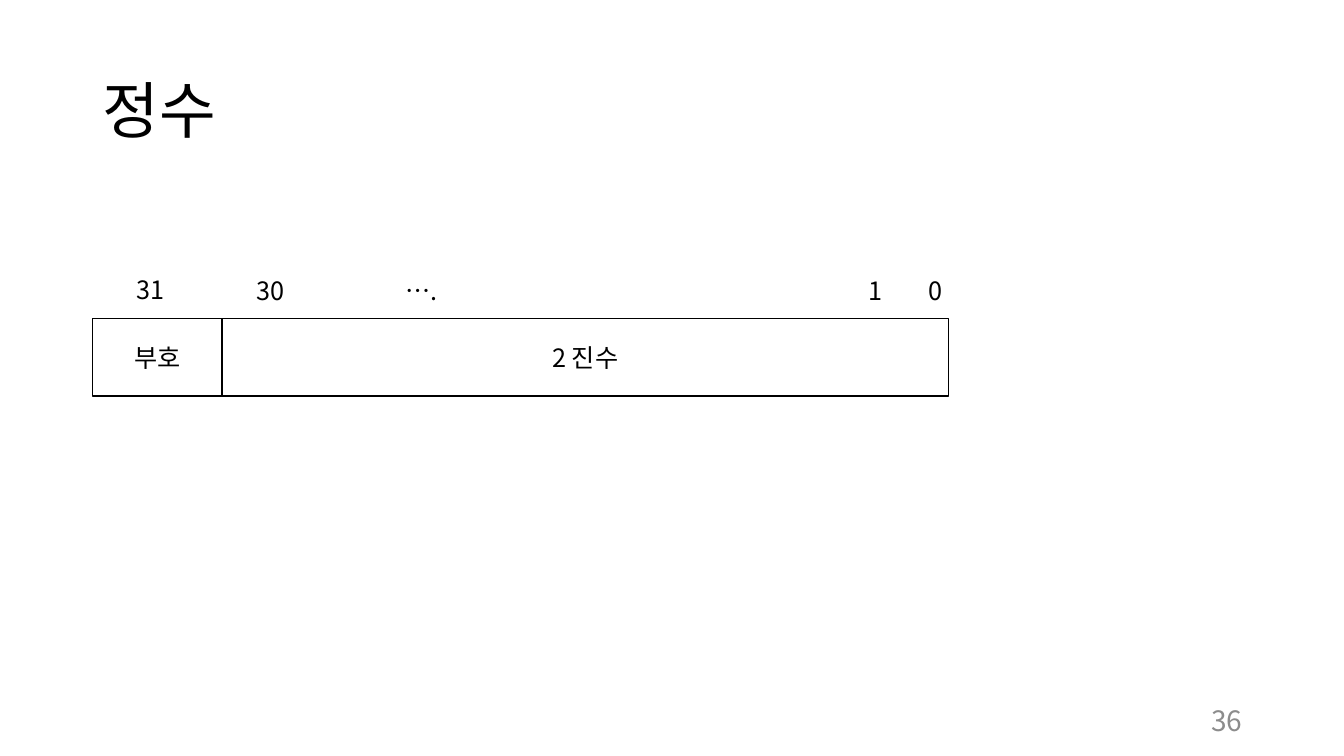
"""Build a slide showing the bit layout of a 32-bit integer."""
from dataclasses import dataclass

import lxml.etree
import pptx
import pptx.dml.color
import pptx.enum.shapes
import pptx.enum.text
import pptx.oxml.ns
import pptx.util

Inches = pptx.util.Inches
Align = pptx.enum.text.PP_ALIGN
Anchor = pptx.enum.text.MSO_ANCHOR
BLACK = pptx.dml.color.RGBColor(0x00, 0x00, 0x00)
WHITE = pptx.dml.color.RGBColor(0xFF, 0xFF, 0xFF)
GRAY = pptx.dml.color.RGBColor(0x8C, 0x8C, 0x8C)
FONT = "Noto Sans CJK KR"
FIELD_TOP, FIELD_HEIGHT = 3.16, 0.77
LABEL_WIDTH, LABEL_HEIGHT = 0.61, 0.4


@dataclass(frozen=True)
class Field:
    text: str
    left: float
    width: float


@dataclass(frozen=True)
class BitLabel:
    text: str
    left: float
    top: float = 2.68


FIELDS = [Field("부호", 0.92, 1.29), Field("2 진수", 2.2, 7.21)]
BIT_LABELS = [
    BitLabel("31", 1.26, 2.67),
    BitLabel("30", 2.45),
    BitLabel("….", 3.92),
    BitLabel("1", 8.52),
    BitLabel("0", 9.11),
]


def write_text(shape, text: str, *, size: float = 18, color=BLACK, align=Align.LEFT,
               anchor=Anchor.TOP, line_spacing: float | None = None) -> None:
    frame = shape.text_frame
    frame.word_wrap = True
    frame.vertical_anchor = anchor
    paragraph = frame.paragraphs[0]
    paragraph.alignment = align
    paragraph.line_spacing = line_spacing
    run = paragraph.add_run()
    run.text = text
    run.font.size = pptx.util.Pt(size)
    run.font.name = FONT
    run.font.color.rgb = color
    east_asian = lxml.etree.SubElement(run.font._element, pptx.oxml.ns.qn("a:ea"))
    east_asian.set("typeface", FONT)


def add_text_box(slide, left: float, top: float, width: float, height: float):
    return slide.shapes.add_textbox(Inches(left), Inches(top), Inches(width), Inches(height))


def add_field(slide, field: Field) -> None:
    shape = slide.shapes.add_shape(
        pptx.enum.shapes.MSO_SHAPE.RECTANGLE, Inches(field.left), Inches(FIELD_TOP),
        Inches(field.width), Inches(FIELD_HEIGHT))
    shape.shadow.inherit = False
    shape.fill.solid()
    shape.fill.fore_color.rgb = WHITE
    shape.line.color.rgb = BLACK
    shape.line.width = pptx.util.Pt(1)
    write_text(shape, field.text, align=Align.CENTER, anchor=Anchor.MIDDLE)


def add_bit_label(slide, label: BitLabel) -> None:
    shape = add_text_box(slide, label.left, label.top, LABEL_WIDTH, LABEL_HEIGHT)
    write_text(shape, label.text)
    shape.text_frame.auto_size = pptx.enum.text.MSO_AUTO_SIZE.SHAPE_TO_FIT_TEXT


def main() -> None:
    presentation = pptx.Presentation()
    presentation.slide_width = Inches(13.33)
    presentation.slide_height = Inches(7.5)
    slide = presentation.slides.add_slide(presentation.slide_layouts[6])
    title = add_text_box(slide, 0.92, 0.4, 11.5, 1.45)
    write_text(title, "정수", size=44, anchor=Anchor.MIDDLE, line_spacing=0.9)
    page_number = add_text_box(slide, 9.42, 6.95, 3, 0.4)
    write_text(page_number, "36", size=20, color=GRAY, align=Align.RIGHT, anchor=Anchor.MIDDLE)
    for field in FIELDS:
        add_field(slide, field)
    for label in BIT_LABELS:
        add_bit_label(slide, label)
    presentation.save("out.pptx")


if __name__ == "__main__":
    main()
